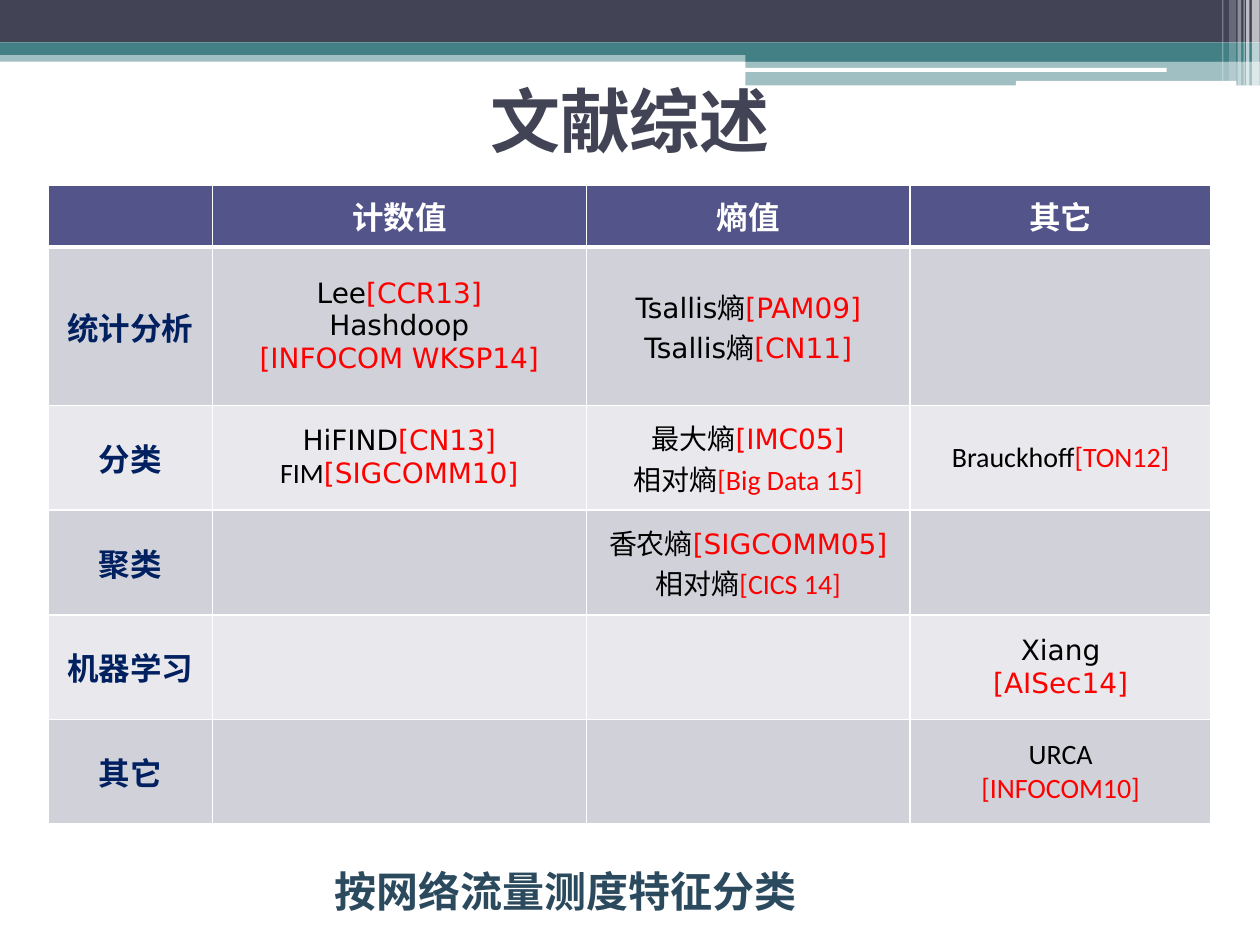
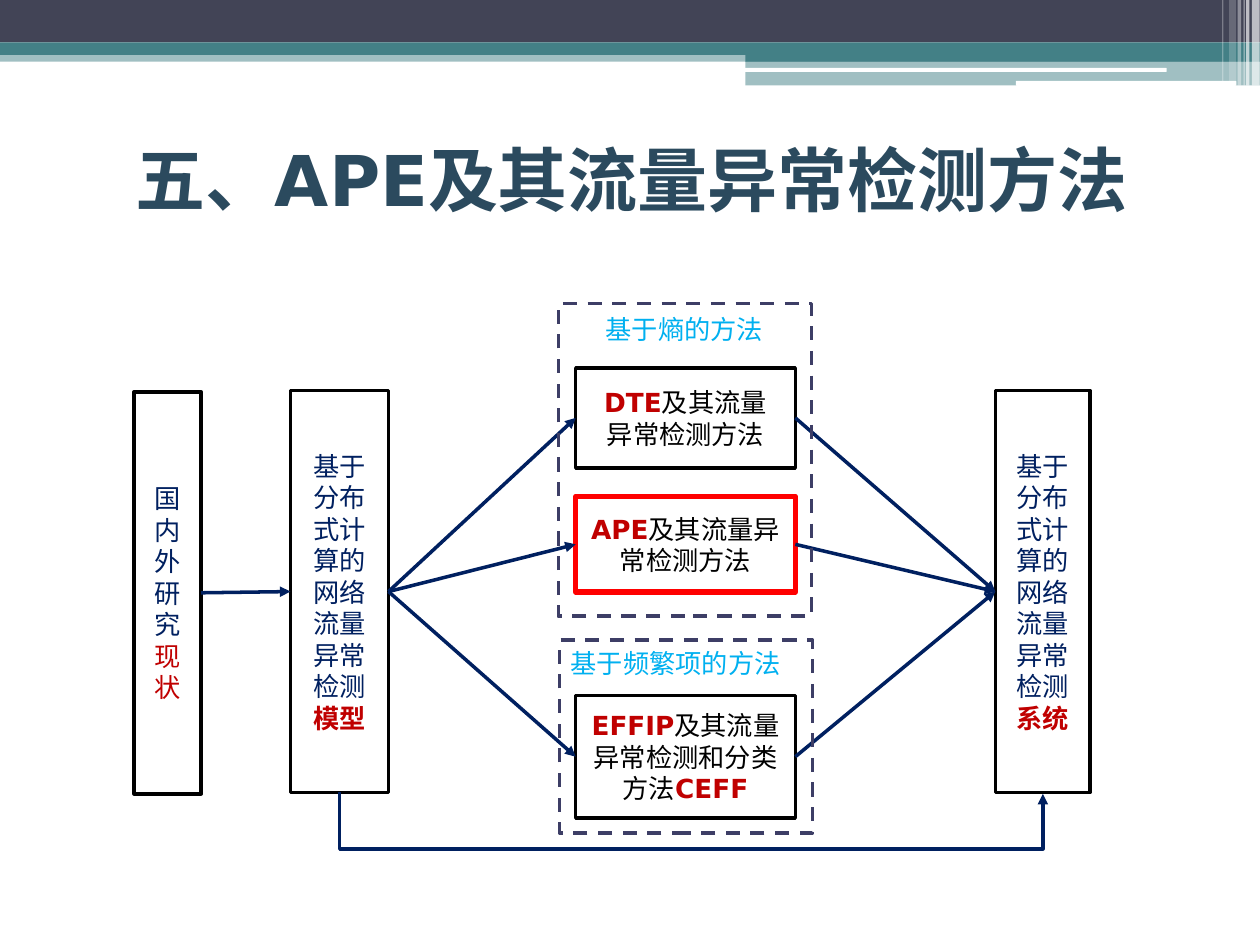
import dataclasses

import lxml.etree
import pptx
import pptx.dml.color
import pptx.enum.dml
import pptx.enum.shapes
import pptx.enum.text
import pptx.oxml.ns
import pptx.util

Pt = pptx.util.Pt
Rgb = pptx.dml.color.RGBColor.from_string
Kind = pptx.enum.shapes.MSO_SHAPE
Link = pptx.enum.shapes.MSO_CONNECTOR
Align = pptx.enum.text.PP_ALIGN
Anchor = pptx.enum.text.MSO_ANCHOR
Sub = lxml.etree.SubElement
qn = pptx.oxml.ns.qn


@dataclasses.dataclass(frozen=True)
class Theme:
    dark: str = "424456"
    teal: str = "438086"
    white: str = "FFFFFF"
    black: str = "000000"
    steel: str = "2B4A5E"
    navy: str = "002060"
    red: str = "FF0000"
    crimson: str = "C00000"
    sky: str = "00B0F0"
    dash: str = "3D3E66"
    head: str = "53548A"
    odd: str = "D1D1DA"
    even: str = "E9E9ED"
    sans: str = "DejaVu Sans"
    body: str = "Calibri"
    plain: str = "Arial"
    title: int = 40
    note: int = 24
    label: int = 18
    cell: int = 16
    small: int = 15


look = Theme()


def write(frame, lines, size=look.small, face=look.sans, color=look.black,
          bold=False, align=Align.CENTER, anchor=Anchor.MIDDLE):
    frame.word_wrap = True
    frame.vertical_anchor = anchor
    for i, line in enumerate(lines):
        para = frame.add_paragraph() if i else frame.paragraphs[0]
        para.alignment = align
        for text, own in line:
            run = para.add_run()
            run.text = text
            run.font.size = Pt(size)
            run.font.name = own.get("face", face)
            run.font.bold = own.get("bold", bold)
            run.font.color.rgb = Rgb(own.get("color", color))


def block(slide, at, fill=None, alpha=None, line=None, width=2, kind=Kind.RECTANGLE):
    shape = slide.shapes.add_shape(kind, *map(Pt, at))
    shape.shadow.inherit = False
    if fill:
        shape.fill.solid()
        shape.fill.fore_color.rgb = Rgb(fill)
    else:
        shape.fill.background()
    if alpha:
        tint = shape._element.spPr.find(".//" + qn("a:srgbClr"))
        Sub(tint, qn("a:alpha"), val=str(alpha * 1000))
    if line:
        shape.line.color.rgb = Rgb(line)
        shape.line.width = Pt(width)
    else:
        shape.line.fill.background()
    return shape


deck = pptx.Presentation()
deck.slide_width, deck.slide_height = Pt(720), Pt(540)

bands = [
    (0, 28.8, 720, 6.5, look.teal, 50),
    (0, 0, 720, 24.2, look.dark, None),
    (0, 24.2, 720, 7.2, look.teal, None),
    (426, 28, 294, 7.2, look.teal, None),
    (426, 34.9, 294, 14, look.teal, 50),
]
pills = [(425.5, 38.8, 241.2, 2.3), (580.5, 46.2, 126, 2.8)]
stripes = [
    (715.4, 4.4, 49, 65), (712, 2, 49, 65), (710.6, 0.7, 49, 60),
    (707.2, 2, 49, 40), (702.3, 4, 46.2, 20), (698.4, 0.7, 46.2, 30),
]
titles = [
    ("文献综述", look.dark, (36, 31.7, 648, 73.4)),
    ("五、APE及其流量异常检测方法", look.steel, (36.7, 59.8, 648, 84.2)),
]
slides = []
for text, color, at in titles:
    slide = deck.slides.add_slide(deck.slide_layouts[6])
    for *spot, fill, alpha in bands:
        block(slide, spot, fill, alpha)
    for spot in pills:
        block(slide, spot, look.white, kind=Kind.ROUNDED_RECTANGLE)
    for left, wide, tall, alpha in stripes:
        block(slide, (left, 0, wide, tall), look.white, alpha)
    box = slide.shapes.add_textbox(*map(Pt, at))
    write(box.text_frame, [[(text, {})]], look.title, color=color, bold=True)
    slides.append(slide)
survey, method = slides

red = {"color": look.red}
thin = {"face": look.body}
faint = red | thin
heads = ["", "计数值", "熵值", "其它"]
rows = [
    ("统计分析",
     [[("Lee", {}), ("[CCR13]", red)], [("Hashdoop", {})], [("[INFOCOM WKSP14]", red)]],
     [[("Tsallis熵", {}), ("[PAM09]", red)], [("Tsallis熵", {}), ("[CN11]", red)]],
     []),
    ("分类",
     [[("HiFIND", {}), ("[CN13]", red)], [("FIM", thin), ("[SIGCOMM10]", red)]],
     [[("最大熵", {}), ("[IMC05]", red)], [("相对熵", thin), ("[Big Data 15]", faint)]],
     [[("Brauckhoff", thin), ("[TON12]", faint)]]),
    ("聚类", [],
     [[("香农熵", {}), ("[SIGCOMM05]", red)], [("相对熵", thin), ("[CICS 14]", faint)]],
     []),
    ("机器学习", [], [], [[("Xiang", {})], [("[AISec14]", red)]]),
    ("其它", [], [], [[("URCA", thin)], [("[INFOCOM10]", faint)]]),
]
wides = [93.6, 213.8, 185, 172]
talls = [35.3, 90.7] + [59.8] * 4
grid = survey.shapes.add_table(6, 4, Pt(27.7), Pt(105.8), Pt(sum(wides)), Pt(sum(talls))).table
for col, wide in zip(grid.columns, wides):
    col.width = Pt(wide)
for row, tall in zip(grid.rows, talls):
    row.height = Pt(tall)
for r in range(6):
    for c in range(4):
        cell = grid.cell(r, c)
        cell.vertical_anchor = Anchor.MIDDLE
        edges = cell._tc.get_or_add_tcPr()
        for side in "LRTB":
            thick = 3 if (r, side) in [(0, "B"), (1, "T")] else 1
            edge = Sub(edges, qn("a:ln" + side), w=str(Pt(thick)))
            paint = Sub(edge, qn("a:solidFill"))
            Sub(paint, qn("a:srgbClr"), val=look.white)
        cell.fill.solid()
        cell.fill.fore_color.rgb = Rgb(look.head if r == 0 else look.odd if r % 2 else look.even)
        if r == 0 and c:
            write(cell.text_frame, [[(heads[c], {})]], look.label, look.body, look.white, True)
        elif r and c == 0:
            write(cell.text_frame, [[(rows[r - 1][0], {})]], look.label, look.body, look.navy, True)
        elif r and rows[r - 1][c]:
            write(cell.text_frame, rows[r - 1][c], look.cell)

note = survey.shapes.add_textbox(Pt(150.5), Pt(491), Pt(345.6), Pt(36))
write(note.text_frame, [[("按网络流量测度特征分类", {})]], look.note, look.plain,
      look.steel, True, anchor=Anchor.TOP)

key = {"color": look.crimson, "bold": True}
blue = {"color": look.navy}
base = "基于分布式计算的网络流量异常检测"
steps = {
    "state": ((76.6, 223.9, 38.4, 229.7), look.black, 2,
              [[("国内外研究", blue), ("现状", {"color": look.crimson})]]),
    "model": ((166, 223.2, 56, 229.7), look.black, 2, [[(base, blue), ("模型", key)]]),
    "system": ((568.8, 223.2, 54, 229.7), look.black, 2, [[(base, blue), ("系统", key)]]),
    "dte": ((329, 210.2, 125.5, 57.2), look.black, 2,
            [[("DTE", key), ("及其流量", {})], [("异常检测方法", {})]]),
    "ape": ((329, 283.7, 125.5, 54.7), look.red, 3,
            [[("APE", key), ("及其流量异常检测方法", {})]]),
    "effip": ((329, 397.4, 125.5, 70), look.black, 2,
              [[("EFFIP", key), ("及其流量异常检测和分类方法", {}), ("CEFF", key)]]),
}
nodes = {}
for name, (at, edge, width, lines) in steps.items():
    nodes[name] = block(method, at, line=edge, width=width)
    write(nodes[name].text_frame, lines)

links = [("state", "model")]
for name in ("dte", "ape", "effip"):
    links += [("model", name), (name, "system")]
wires = []
for start, end in links:
    wire = method.shapes.add_connector(Link.STRAIGHT, 0, 0, 0, 0)
    wire.begin_connect(nodes[start], 3)
    wire.end_connect(nodes[end], 1)
    wires.append(wire)

bend = method.shapes.add_connector(Link.ELBOW, Pt(395.5), Pt(252.2), Pt(394.5), Pt(654))
bend._element.spPr.find(qn("a:xfrm")).set("rot", "16200000")
guides = bend._element.spPr.find(".//" + qn("a:avLst"))
Sub(guides, qn("a:gd"), name="adj1", fmla="val 3270000")
for wire in wires + [bend]:
    wire.line.color.rgb = Rgb(look.navy)
    wire.line.width = Pt(2)
    Sub(wire.line._get_or_add_ln(), qn("a:tailEnd"), type="triangle")
    Sub(wire._element.spPr, qn("a:effectLst"))

groups = [
    ("基于熵的方法", (339, 175.7, 115.2, 31), (319, 173.5, 144.7, 178.6)),
    ("基于频繁项的方法", (319, 366.5, 152.6, 31), (319.7, 365.8, 144.7, 110.2)),
]
for text, spot, at in groups:
    box = method.shapes.add_textbox(*map(Pt, spot))
    write(box.text_frame, [[(text, {})]], face=look.body, color=look.sky,
          align=Align.LEFT, anchor=Anchor.TOP)
    frame = block(method, at, line=look.dash)
    frame.line.dash_style = pptx.enum.dml.MSO_LINE.DASH

deck.save("out.pptx")
